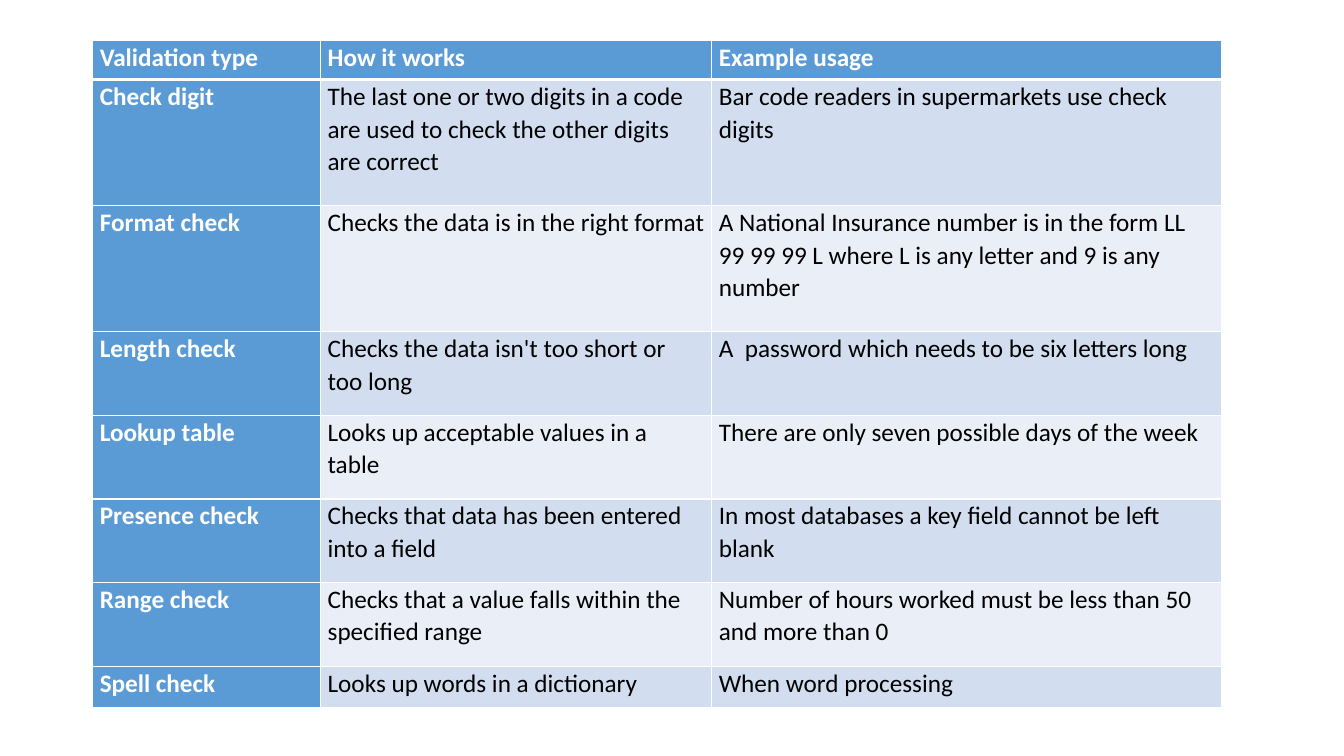
from dataclasses import dataclass

from lxml import etree
from pptx import Presentation
from pptx.dml.color import RGBColor
from pptx.enum.text import MSO_ANCHOR, PP_ALIGN
from pptx.oxml.ns import qn
from pptx.util import Inches, Pt

TOP, LEFT = MSO_ANCHOR.TOP, PP_ALIGN.LEFT
BLANK_LAYOUT = 6


@dataclass(frozen=True)
class Theme:
    font: str = "Calibri"
    size: float = 18
    line_spacing: float = 1.06
    heading_fill: str = "5B9BD5"
    heading_text: str = "FFFFFF"
    body_text: str = "000000"
    bands: tuple = ("D2DEEF", "EAEFF7")
    rule: str = "FFFFFF"
    thin: float = 1
    thick: float = 3
    side_margin: float = 0.07


class SlideBuilder:
    def __init__(self, deck, theme):
        self.theme = theme
        self.width, self.height = deck.slide_width, deck.slide_height
        self.slide = deck.slides.add_slide(deck.slide_layouts[BLANK_LAYOUT])

    def table(self, left, top, column_widths, row_heights, records):
        """Place a table; left and top are shares of the slide's size."""
        frame = self.slide.shapes.add_table(
            len(records), len(column_widths),
            round(self.width * left), round(self.height * top),
            Inches(sum(column_widths)), Inches(sum(row_heights)))
        grid = frame.table
        grid.first_col = True
        for column, width in zip(grid.columns, column_widths):
            column.width = Inches(width)
        for row, height in zip(grid.rows, row_heights):
            row.height = Inches(height)
        for r, record in enumerate(records):
            for c, wording in enumerate(record):
                self.cell(grid.cell(r, c), wording, r, c)

    def cell(self, cell, wording, row, column):
        theme = self.theme
        heading = row == 0 or column == 0
        band = theme.bands[(row - 1) % len(theme.bands)]

        # Borders come before the fill in the cell's properties
        self.borders(cell, row)
        cell.fill.solid()
        cell.fill.fore_color.rgb = RGBColor.from_string(
            theme.heading_fill if heading else band)

        cell.margin_left = cell.margin_right = Inches(theme.side_margin)
        cell.margin_top = cell.margin_bottom = 0
        cell.vertical_anchor = TOP

        paragraph = cell.text_frame.paragraphs[0]
        paragraph.alignment = LEFT
        paragraph.line_spacing = theme.line_spacing
        run = paragraph.add_run()
        run.text = wording
        run.font.name = theme.font
        run.font.size = Pt(theme.size)
        run.font.bold = heading
        run.font.color.rgb = RGBColor.from_string(
            theme.heading_text if heading else theme.body_text)

    def borders(self, cell, row):
        theme = self.theme
        weights = {
            "a:lnL": theme.thin,
            "a:lnR": theme.thin,
            "a:lnT": theme.thick if row == 1 else theme.thin,
            "a:lnB": theme.thick if row == 0 else theme.thin,
        }
        properties = cell._tc.get_or_add_tcPr()
        for edge, weight in weights.items():
            line = etree.SubElement(properties, qn(edge), w=str(Pt(weight)))
            fill = etree.SubElement(line, qn("a:solidFill"))
            etree.SubElement(fill, qn("a:srgbClr"), val=theme.rule)


VALIDATION_CHECKS = [
    ("Validation type", "How it works", "Example usage"),
    ("Check digit",
     "The last one or two digits in a code are used to check the other digits are correct",
     "Bar code readers in supermarkets use check digits"),
    ("Format check",
     "Checks the data is in the right format",
     "A National Insurance number is in the form LL 99 99 99 L "
     "where L is any letter and 9 is any number"),
    ("Length check",
     "Checks the data isn't too short or too long",
     "A  password which needs to be six letters long"),
    ("Lookup table",
     "Looks up acceptable values in a table",
     "There are only seven possible days of the week"),
    ("Presence check",
     "Checks that data has been entered into a field",
     "In most databases a key field cannot be left blank"),
    ("Range check",
     "Checks that a value falls within the specified range",
     "Number of hours worked must be less than 50 and more than 0"),
    ("Spell check", "Looks up words in a dictionary", "When word processing"),
]


def main():
    deck = Presentation()
    deck.slide_width, deck.slide_height = Inches(13.33), Inches(7.5)
    builder = SlideBuilder(deck, Theme())

    # Validation table: header, two tall rows, four medium rows, one short row
    builder.table(
        left=0.92 / 13.33, top=0.4 / 7.5,
        column_widths=[2.26, 3.88, 5.06],
        row_heights=[0.39] + [1.25] * 2 + [0.83] * 4 + [0.41],
        records=VALIDATION_CHECKS)

    deck.save("out.pptx")


if __name__ == "__main__":
    main()
